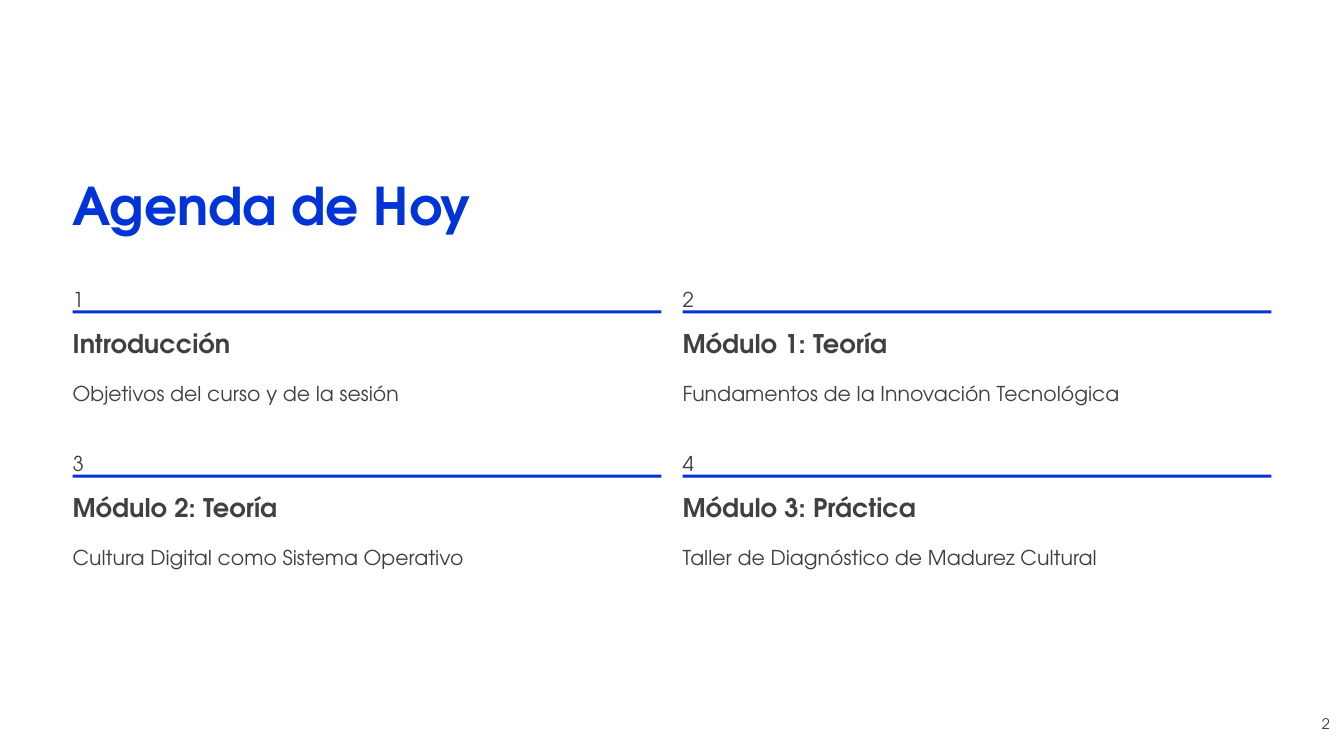
from dataclasses import dataclass

from pptx import Presentation
from pptx.dml.color import RGBColor
from pptx.enum.shapes import MSO_SHAPE
from pptx.enum.text import PP_ALIGN
from pptx.slide import Slide
from pptx.util import Inches, Pt

FONT = "TeX Gyre Adventor"
BLUE = "0034D9"
RULE_BLUE = "0134D9"
GRAY = "404040"
WHITE = "FFFFFF"

LEFT, TOP = 0.72, 2.76
COLUMN_STEP, ROW_STEP = 6.05, 1.63
COLUMN_WIDTH = 5.84
COLUMNS = 2


@dataclass(frozen=True)
class TextStyle:
    size: float
    line_spacing: float
    color: str = GRAY
    bold: bool = False
    align: PP_ALIGN = PP_ALIGN.LEFT


@dataclass(frozen=True)
class AgendaItem:
    heading: str
    description: str


TITLE = TextStyle(37.1, 46.2, BLUE, True)
HEADING = TextStyle(18.3, 22.9, bold=True)
BODY = TextStyle(14.6, 23.8)
PAGE_NUMBER = TextStyle(10.4, 16.7, align=PP_ALIGN.RIGHT)

AGENDA = [
    AgendaItem("Introducción", "Objetivos del curso y de la sesión"),
    AgendaItem("Módulo 1: Teoría", "Fundamentos de la Innovación Tecnológica"),
    AgendaItem("Módulo 2: Teoría", "Cultura Digital como Sistema Operativo"),
    AgendaItem("Módulo 3: Práctica", "Taller de Diagnóstico de Madurez Cultural"),
]


def rgb(color: str) -> RGBColor:
    return RGBColor.from_string(color)


def add_text(slide: Slide, text: str, left: float, top: float,
             width: float, height: float, style: TextStyle) -> None:
    frame = slide.shapes.add_textbox(
        Inches(left), Inches(top), Inches(width), Inches(height)).text_frame
    frame.margin_left = frame.margin_right = 0
    frame.margin_top = frame.margin_bottom = 0
    frame.word_wrap = True
    frame.text = text
    paragraph = frame.paragraphs[0]
    paragraph.alignment = style.align
    paragraph.line_spacing = Pt(style.line_spacing)
    font = paragraph.runs[0].font
    font.name = FONT
    font.size = Pt(style.size)
    font.bold = style.bold
    font.color.rgb = rgb(style.color)


def add_rule(slide: Slide, left: float, top: float) -> None:
    rule = slide.shapes.add_shape(
        MSO_SHAPE.RECTANGLE, Inches(left), Inches(top),
        Inches(COLUMN_WIDTH), Inches(0.03))
    rule.shadow.inherit = False
    rule.fill.solid()
    rule.fill.fore_color.rgb = rgb(RULE_BLUE)
    rule.line.fill.background()


def add_agenda_item(slide: Slide, index: int, item: AgendaItem) -> None:
    row, column = divmod(index, COLUMNS)
    left = LEFT + column * COLUMN_STEP
    top = TOP + row * ROW_STEP
    add_text(slide, str(index + 1), left, top, 0.21, 0.26, BODY)
    add_rule(slide, left, top + 0.32)
    add_text(slide, item.heading, left, top + 0.48, 2.58, 0.32, HEADING)
    add_text(slide, item.description, left, top + 0.93, COLUMN_WIDTH, 0.33, BODY)


def main() -> None:
    presentation = Presentation()
    presentation.slide_width = Inches(13.33)
    presentation.slide_height = Inches(7.5)
    slide = presentation.slides.add_slide(presentation.slide_layouts[6])
    slide.background.fill.solid()
    slide.background.fill.fore_color.rgb = rgb(WHITE)

    add_text(slide, "Agenda de Hoy", LEFT, 1.7, 5.17, 0.65, TITLE)
    for index, item in enumerate(AGENDA):
        add_agenda_item(slide, index, item)
    add_text(slide, "2", 12.93, 7.03, 0.26, 0.23, PAGE_NUMBER)
    presentation.save("out.pptx")


if __name__ == "__main__":
    main()
